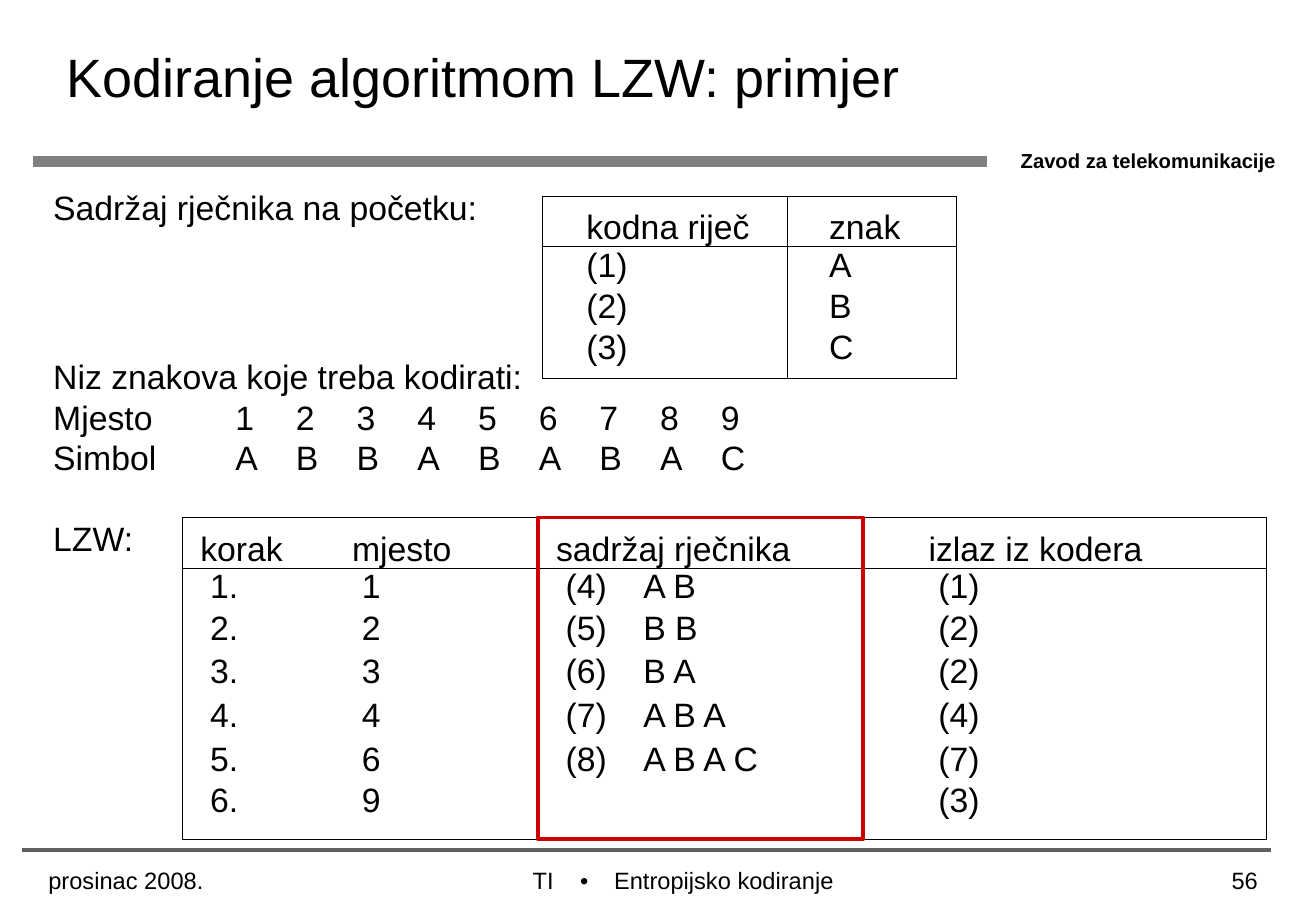
import pptx
import pptx.util
import pptx.dml.color
import pptx.enum.shapes
import pptx.enum.text
import pptx.oxml
import pptx.oxml.ns
import lxml.etree

Inches = pptx.util.Inches
Pt = pptx.util.Pt
qn = pptx.oxml.ns.qn
ALIGN = pptx.enum.text.PP_ALIGN
ANCHOR = pptx.enum.text.MSO_ANCHOR

COLORS = {"text": "000000", "rule": "808080", "footer": "5F5F5F", "mark": "CC0000"}
FONT = "Arial"

DICTIONARY = [
    ["kodna riječ", "znak"],
    ["(1)", "A"],
    ["(2)", "B"],
    ["(3)", "C"],
]
STEPS = [
    ["korak", "mjesto", "sadržaj rječnika", "", "izlaz iz kodera"],
    ["1.", "1", "(4)", "A B", "(1)"],
    ["2.", "2", "(5)", "B B", "(2)"],
    ["3.", "3", "(6)", "B A", "(2)"],
    ["4.", "4", "(7)", "A B A", "(4)"],
    ["5.", "6", "(8)", "A B A C", "(7)"],
    ["6.", "9", "", "", "(3)"],
]


def rgb(name):
    return pptx.dml.color.RGBColor.from_string(COLORS[name])


def write(tf, lines, size=20, bold=False, align=ALIGN.LEFT, tabs=(), gaps=()):
    gaps = dict(gaps)
    for i, line in enumerate(lines):
        p = tf.paragraphs[0] if i == 0 else tf.add_paragraph()
        if tabs:
            tab_list = lxml.etree.SubElement(p._p.get_or_add_pPr(), qn("a:tabLst"))
            for pos in tabs:
                lxml.etree.SubElement(tab_list, qn("a:tab"), pos=str(Inches(pos)), algn="l")
        p.alignment = align
        if i in gaps:
            p.space_before = Pt(gaps[i])
        r = p.add_run()
        r.text = line
        r.font.name = FONT
        r.font.size = Pt(size)
        r.font.bold = bold
        r.font.color.rgb = rgb("text")


def add_text(s, at, lines, **fmt):
    tf = s.shapes.add_textbox(*map(Inches, at)).text_frame
    tf.word_wrap = True
    write(tf, lines, **fmt)


def add_title(s, at, text):
    sp = s.shapes.title
    sp.left, sp.top, sp.width, sp.height = map(Inches, at)
    sp.text_frame.vertical_anchor = ANCHOR.MIDDLE
    write(sp.text_frame, [text], size=32)


def add_rule(s, x1, x2, y, color, width):
    line = s.shapes.add_connector(
        pptx.enum.shapes.MSO_CONNECTOR.STRAIGHT, *map(Inches, (x1, y, x2, y)))
    line.line.color.rgb = rgb(color)
    line.line.width = Pt(width)
    lxml.etree.SubElement(line._element.spPr, qn("a:effectLst"))


def add_frame(s, at, color, width):
    sp = s.shapes.add_shape(pptx.enum.shapes.MSO_SHAPE.RECTANGLE, *map(Inches, at))
    sp.shadow.inherit = False
    sp.fill.background()
    sp.line.color.rgb = rgb(color)
    sp.line.width = Pt(width)


def set_borders(cell, shown):
    tcPr = cell._tc.get_or_add_tcPr()
    for i, side in enumerate("LRTB"):
        ln = lxml.etree.Element(qn("a:ln" + side), w=str(Pt(0.75)))
        if side in shown:
            fill = lxml.etree.SubElement(ln, qn("a:solidFill"))
            lxml.etree.SubElement(fill, qn("a:srgbClr"), val=COLORS["text"])
        else:
            lxml.etree.SubElement(ln, qn("a:noFill"))
        tcPr.insert(i, ln)


def add_grid(s, left, top, widths, heights, rows, indents, body_shift=0, dividers=False):
    table = s.shapes.add_table(
        len(rows), len(widths), Inches(left), Inches(top),
        Inches(sum(widths)), Inches(sum(heights))).table
    table.first_row = table.horz_banding = False
    for column, width in zip(table.columns, widths):
        column.width = Inches(width)
    for row, height in zip(table.rows, heights):
        row.height = Inches(height)
    last_row, last_col = len(rows) - 1, len(widths) - 1
    for i, row in enumerate(rows):
        for j, text in enumerate(row):
            cell = table.cell(i, j)
            cell.fill.background()
            cell.margin_left = Inches(indents[j] + (body_shift if i else 0))
            cell.margin_right = cell.margin_top = cell.margin_bottom = 0
            cell.vertical_anchor = ANCHOR.TOP if i else ANCHOR.BOTTOM
            write(cell.text_frame, [text])
            rules = {"L": j == 0 or dividers, "R": j == last_col or dividers,
                     "T": i in (0, 1), "B": i in (0, last_row)}
            set_borders(cell, [side for side, shown in rules.items() if shown])
    return table


def main():
    prs = pptx.Presentation()
    prs.slide_width, prs.slide_height = Inches(10.84), Inches(7.5)
    s = prs.slides.add_slide(prs.slide_layouts[5])

    add_rule(s, 0.27, 8.13, 1.33, "rule", 6)
    add_text(s, (8.31, 1.17, 2.53, 0.3), ["Zavod za telekomunikacije"], size=12, bold=True)
    add_rule(s, 0.18, 10.47, 7, "footer", 2.25)
    add_title(s, (0.45, 0, 9.21, 1.25), "Kodiranje algoritmom LZW: primjer")

    add_text(s, (0.34, 1.49, 4, 0.44), ["Sadržaj rječnika na početku:"])
    add_text(s, (0.34, 2.88, 6.5, 1.77), [
        "Niz znakova koje treba kodirati:",
        "\t".join(["Mjesto", *"123456789"]),
        "\t".join(["Simbol", *"ABBABABAC"]),
        "LZW:",
    ], tabs=[1.5 + 0.5 * i for i in range(9)], gaps={3: 24})

    add_grid(s, 4.47, 1.62, [2.02, 1.39], [0.41, 0.34, 0.34, 0.41],
             DICTIONARY, [0.36, 0.34], dividers=True)
    steps = add_grid(s, 1.5, 4.26, [1.25, 1.68, 0.72, 1.96, 3.32],
                     [0.42, 0.34, 0.36, 0.36, 0.36, 0.34, 0.47],
                     STEPS, [0.15, 0.15, 0.15, 0.07, 0.54], body_shift=0.08)
    steps.cell(0, 2).merge(steps.cell(0, 3))
    add_frame(s, (4.43, 4.26, 2.68, 2.65), "mark", 2.25)

    add_text(s, (0.3, 7.08, 1.95, 0.42), ["prosinac 2008."], size=14)
    add_text(s, (4.29, 7.08, 3, 0.42), ["TI\t•\tEntropijsko kodiranje"],
             size=14, tabs=[0.39, 0.67])
    add_text(s, (9.09, 7.08, 1.37, 0.42), ["56"], size=14, align=ALIGN.RIGHT)
    prs.save("out.pptx")


if __name__ == "__main__":
    main()
